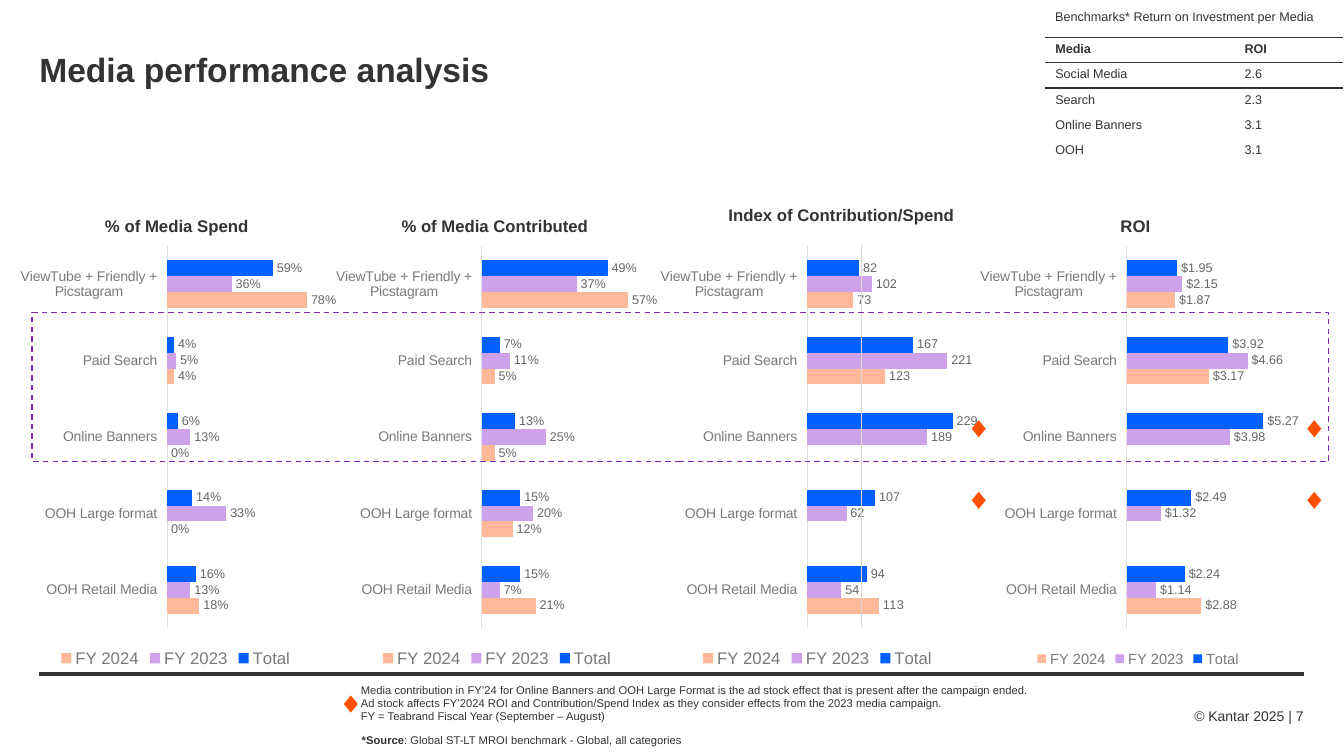
from lxml import etree
from pptx import Presentation
from pptx.chart.data import CategoryChartData
from pptx.dml.color import RGBColor
from pptx.enum.chart import XL_CHART_TYPE, XL_LABEL_POSITION, XL_LEGEND_POSITION, XL_TICK_LABEL_POSITION, XL_TICK_MARK
from pptx.enum.dml import MSO_LINE
from pptx.enum.shapes import MSO_CONNECTOR, MSO_SHAPE
from pptx.enum.text import MSO_ANCHOR, PP_ALIGN
from pptx.oxml.ns import qn
from pptx.util import Pt

BAR_CLUSTERED = XL_CHART_TYPE.BAR_CLUSTERED
OUTSIDE_END = XL_LABEL_POSITION.OUTSIDE_END
BOTTOM = XL_LEGEND_POSITION.BOTTOM
NO_LABELS = XL_TICK_LABEL_POSITION.NONE
LOW_LABELS = XL_TICK_LABEL_POSITION.LOW
NO_TICK = XL_TICK_MARK.NONE
DASH = MSO_LINE.DASH
STRAIGHT = MSO_CONNECTOR.STRAIGHT
DIAMOND = MSO_SHAPE.DIAMOND
RECTANGLE = MSO_SHAPE.RECTANGLE
TOP = MSO_ANCHOR.TOP
MIDDLE = MSO_ANCHOR.MIDDLE
LEFT = PP_ALIGN.LEFT
RIGHT = PP_ALIGN.RIGHT

FONT = "Arial"
DARK = "333333"
GREY = "7A7A7A"
CHART_WIDTH, CHART_HEIGHT = 229.5, 341.3
CATEGORIES = ["ViewTube + Friendly + Picstagram", "Paid Search", "Online Banners",
              "OOH Large format", "OOH Retail Media"]
SERIES = [("Total", "0060FF"), ("FY 2023", "CEA2EA"), ("FY 2024", "FFB999")]
CHARTS = [
    dict(title="% of Media Spend", title_at=(62, 14), plot=(108.6, 115.4), maximum=0.9,
         number_format="0%", legend_size=12,
         values=[(0.59, 0.04, 0.06, 0.14, 0.16), (0.36, 0.05, 0.13, 0.33, 0.13),
                 (0.78, 0.04, 0, 0, 0.18)]),
    dict(title="% of Media Contributed", title_at=(44, 14), plot=(103.8, 110.6), maximum=0.6,
         number_format="0%", legend_size=12,
         values=[(0.49, 0.07, 0.13, 0.15, 0.15), (0.37, 0.11, 0.25, 0.2, 0.07),
                 (0.57, 0.05, 0.05, 0.12, 0.21)]),
    dict(title="Index of Contribution/Spend", title_at=(49, 6), plot=(107.4, 113.4), maximum=250,
         number_format="0", legend_size=12,
         values=[(82, 167, 229, 107, 94), (102, 221, 189, 62, 54),
                 (73, 123, None, None, 113)]),
    dict(title="ROI", title_at=(100, 14), plot=(106.6, 111.5), maximum=6,
         number_format='"$"#,##0.00', legend_size=10.5,
         values=[(1.95, 3.92, 5.27, 2.49, 2.24), (2.15, 4.66, 3.98, 1.32, 1.14),
                 (1.87, 3.17, None, None, 2.88)]),
]
BENCHMARKS = [("Media", "ROI"), ("Social Media", "2.6"), ("Search", "2.3"),
              ("Online Banners", "3.1"), ("OOH", "3.1")]


def color(hex_string):
    """Return the colour for a hex string."""
    return RGBColor.from_string(hex_string)


def style_font(font, size, hex_string=DARK, bold=False):
    """Set the face, size, colour and weight of a font."""
    font.name, font.size, font.bold = FONT, Pt(size), bold
    font.color.rgb = color(hex_string)


def add_text(slide, box, text, size, bold=False, anchor=TOP, align=LEFT, inset=(0, 0)):
    """Add a text box and return its text frame."""
    frame = slide.shapes.add_textbox(*map(Pt, box)).text_frame
    frame.word_wrap = True
    frame.vertical_anchor = anchor
    frame.margin_left = frame.margin_right = Pt(inset[0])
    frame.margin_top = frame.margin_bottom = Pt(inset[1])
    frame.text = text
    for paragraph in frame.paragraphs:
        paragraph.alignment = align
        for run in paragraph.runs:
            style_font(run.font, size, bold=bold)
    return frame


def add_line(slide, start, end, hex_string, width):
    """Add a straight line without a shadow."""
    line = slide.shapes.add_connector(STRAIGHT, *map(Pt, start + end))
    line.line.color.rgb = color(hex_string)
    line.line.width = Pt(width)
    etree.SubElement(line._element.spPr, qn("a:effectLst"))


def add_diamond(slide, left, top):
    """Add an orange ad stock marker."""
    shape = slide.shapes.add_shape(DIAMOND, Pt(left), Pt(top), Pt(10), Pt(12.2))
    shape.shadow.inherit = False
    shape.fill.solid()
    shape.fill.fore_color.rgb = color("FF5000")
    shape.line.fill.background()


def set_layout(parent, index, **settings):
    """Give a chart part a manual layout."""
    for old_layout in parent.findall(qn("c:layout")):
        parent.remove(old_layout)
    layout = etree.Element(qn("c:layout"))
    manual = etree.SubElement(layout, qn("c:manualLayout"))
    for name, value in settings.items():
        etree.SubElement(manual, qn("c:" + name)).set("val", str(value))
    parent.insert(index, layout)


def add_bar_chart(slide, left, top, details):
    """Add one media bar chart with its title, labels and legend."""
    data = CategoryChartData(number_format=details["number_format"])
    data.categories = CATEGORIES
    for (name, _), values in zip(SERIES, details["values"]):
        data.add_series(name, values)
    chart = slide.shapes.add_chart(BAR_CLUSTERED, Pt(left), Pt(top), Pt(CHART_WIDTH),
                                   Pt(CHART_HEIGHT), data).chart
    style_font(chart.font, 12)
    chart.has_title = True
    title = chart.chart_title
    title.text_frame.text = details["title"]
    style_font(title.text_frame.paragraphs[0].runs[0].font, 12, bold=True)
    title_left, title_top = details["title_at"]
    set_layout(title._element, 1, xMode="edge", yMode="edge",
               x=title_left / CHART_WIDTH, y=title_top / CHART_HEIGHT)
    plot_left, plot_width = details["plot"]
    set_layout(chart._chartSpace.chart.plotArea, 0, layoutTarget="inner", xMode="edge",
               yMode="edge", x=plot_left / CHART_WIDTH, y=0.11,
               w=plot_width / CHART_WIDTH, h=0.8)

    chart.has_legend = True
    chart.legend.position = BOTTOM
    chart.legend.include_in_layout = False
    style_font(chart.legend.font, details["legend_size"], GREY)

    category_axis, value_axis = chart.category_axis, chart.value_axis
    for axis in (category_axis, value_axis):
        axis.major_tick_mark = axis.minor_tick_mark = NO_TICK
        axis.has_major_gridlines = False
    category_axis.reverse_order = True
    category_axis.tick_label_position = LOW_LABELS
    style_font(category_axis.tick_labels.font, 10, GREY)
    category_axis.format.line.color.rgb = color("E0E0E0")
    category_axis.format.line.width = Pt(0.75)
    value_axis.tick_label_position = NO_LABELS
    value_axis.format.line.fill.background()
    value_axis.minimum_scale, value_axis.maximum_scale = 0, details["maximum"]

    plot = chart.plots[0]
    plot.gap_width, plot.overlap, plot.vary_by_categories = 182, 0, False
    for series, (_, hex_string) in zip(plot.series, SERIES):
        series.format.fill.solid()
        series.format.fill.fore_color.rgb = color(hex_string)
        labels = series.data_labels
        labels.show_value = True
        labels.position = OUTSIDE_END
        labels.number_format = details["number_format"]
        labels.number_format_is_linked = False
        style_font(labels.font, 9, "666666")


def add_border(cell, side, width):
    """Draw one border of a table cell; zero width means none."""
    line = etree.SubElement(cell._tc.get_or_add_tcPr(), qn("a:" + side), w=str(Pt(width)))
    if width:
        fill = etree.SubElement(line, qn("a:solidFill"))
        etree.SubElement(fill, qn("a:srgbClr"), val=DARK)
    else:
        etree.SubElement(line, qn("a:noFill"))


def add_benchmarks(slide, left, top):
    """Add the benchmark caption and table."""
    add_text(slide, (left, top, 226, 18), "Benchmarks* Return on Investment per Media", 9,
             inset=(7.2, 3.6))
    table = slide.shapes.add_table(len(BENCHMARKS), 2, Pt(left), Pt(top + 23.7),
                                   Pt(213), Pt(90)).table
    table.first_row = table.horz_banding = False
    table.columns[0].width, table.columns[1].width = Pt(135.2), Pt(77.8)
    rules = [1, 1, 1.5, 0, 0, 0]
    for row_index, row in enumerate(BENCHMARKS):
        for column_index, text in enumerate(row):
            cell = table.cell(row_index, column_index)
            cell.text = text
            style_font(cell.text_frame.paragraphs[0].runs[0].font, 9, bold=row_index == 0)
            for side, width in (("lnL", 0), ("lnR", 0), ("lnT", rules[row_index]),
                                ("lnB", rules[row_index + 1])):
                add_border(cell, side, width)
            cell.fill.background()


def add_footer(slide, left, top):
    """Add the rule, the notes, the source and the copyright line."""
    add_line(slide, (left, top), (left + 903.6, top), DARK, 3)
    notes_left = left + 229.7
    add_text(slide, (notes_left, top + 8, 556, 15.8),
             "Media contribution in FY’24 for Online Banners and OOH Large Format is the ad stock "
             "effect that is present after the campaign ended.\n"
             "Ad stock affects FY’2024 ROI and Contribution/Spend Index as they consider effects "
             "from the 2023 media campaign.", 8, anchor=MIDDLE)
    add_text(slide, (notes_left, top + 25.2, 407, 9.4),
             "FY = Teabrand Fiscal Year (September – August)", 8)
    source = add_text(slide, (notes_left - 6.5, top + 41, 451, 12.2), "*Source", 8, bold=True,
                      anchor=MIDDLE, inset=(7.2, 3.6))
    run = source.paragraphs[0].add_run()
    run.text = ": Global ST-LT MROI benchmark - Global, all categories"
    style_font(run.font, 8)
    add_text(slide, (left + 790, top + 21.6, 113, 15.8), "© Kantar 2025 | 7", 10,
             anchor=MIDDLE, align=RIGHT)
    add_diamond(slide, notes_left - 12.2, top + 15.1)


def add_performance(slide, left, top):
    """Add the row of charts with its markers and highlight frame."""
    for index, details in enumerate(CHARTS):
        add_bar_chart(slide, left + index * 229.2, top, details)
    add_line(slide, (left + 604.1, top + 36.7), (left + 604.1, top + 310.3), "D9D9D9", 0.25)
    for marker_left in (683.3, 923):
        for marker_top in (162, 213.1):
            add_diamond(slide, left + marker_left, top + marker_top)
    frame = slide.shapes.add_shape(RECTANGLE, Pt(left + 12.2), Pt(top + 85), Pt(926), Pt(106.6))
    frame.shadow.inherit = False
    frame.fill.background()
    frame.line.color.rgb = color("802AB7")
    frame.line.width = Pt(1)
    frame.line.dash_style = DASH


def main():
    """Build and save the media performance slide."""
    presentation = Presentation()
    presentation.slide_width, presentation.slide_height = Pt(960), Pt(540)
    slide = presentation.slides.add_slide(presentation.slide_layouts[6])
    add_text(slide, (28.1, 33.8, 700, 31.7), "Media performance analysis", 24, bold=True,
             anchor=MIDDLE)
    add_performance(slide, 10.8, 138.2)
    add_benchmarks(slide, 746.6, 2.9)
    add_footer(slide, 28.1, 481.7)
    presentation.save("out.pptx")


if __name__ == "__main__":
    main()
